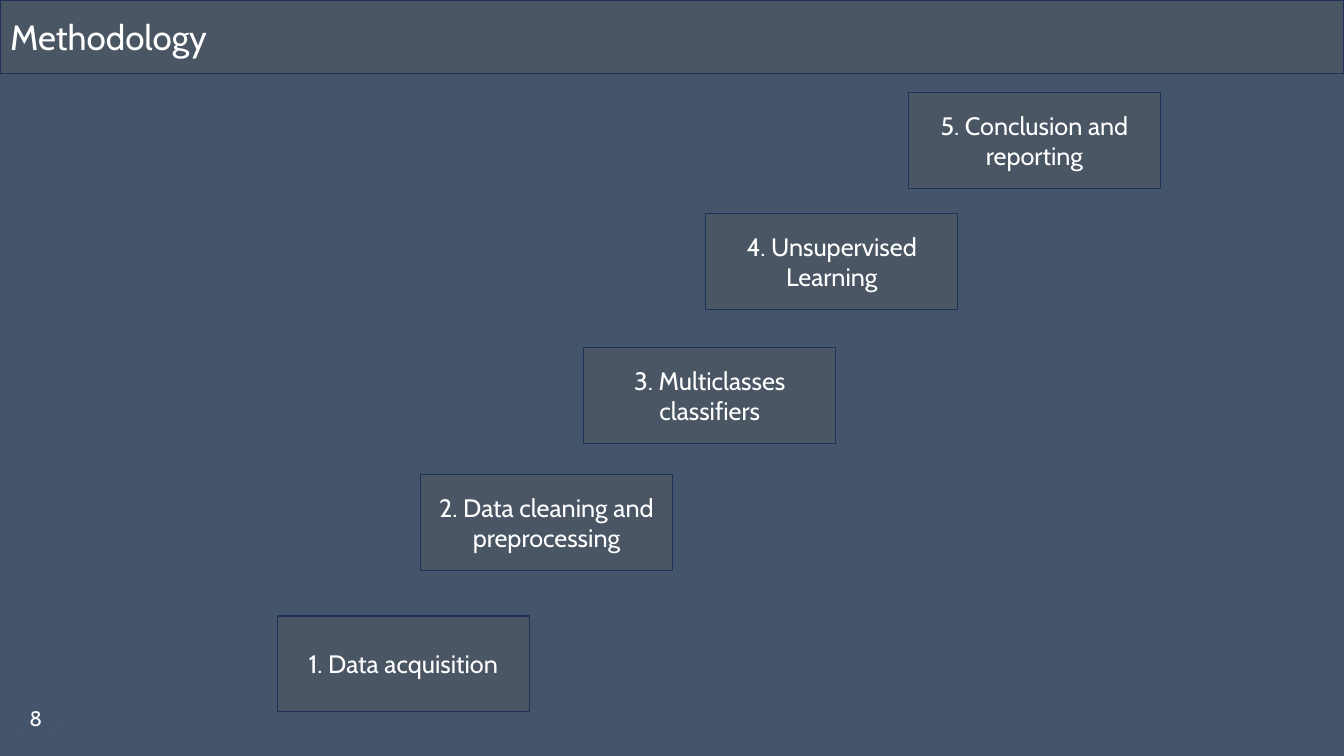
from pptx import Presentation
from pptx.dml.color import RGBColor
from pptx.enum.shapes import MSO_SHAPE as SHAPE
from pptx.enum.text import MSO_ANCHOR as ANCHOR, PP_ALIGN as ALIGN
from pptx.util import Pt

PX = 9144
FONT = "Cabin"
BACKGROUND, PANEL, EDGE, WHITE = "44546A", "4A5664", "1E3256", "FFFFFF"
STEP_W, STEP_H = 250, 95
STEPS = [
    ("1. Data acquisition", 275, 611),
    ("2. Data cleaning and preprocessing", 417, 471),
    ("3. Multiclasses classifiers", 579, 345),
    ("4. Unsupervised Learning", 700, 212),
    ("5. Conclusion and reporting", 901, 92),
]


def px(*lengths):
    """Turn px lengths into EMU."""
    return [n * PX for n in lengths]


def paint(fill, color):
    """Make a fill solid in a hex colour."""
    fill.solid()
    fill.fore_color.rgb = RGBColor.from_string(color)


def outline(sp, color):
    """Give a shape a thin line."""
    paint(sp.line.fill, color)
    sp.line.width = Pt(1)


def write(sp, text, size, align=ALIGN.CENTER):
    """Put one white paragraph in the middle of a shape."""
    tf = sp.text_frame
    tf.word_wrap = True
    tf.vertical_anchor = ANCHOR.MIDDLE
    tf.text = text
    p = tf.paragraphs[0]
    p.alignment = align
    p.font.name = FONT
    p.font.size = Pt(size)
    paint(p.font.fill, WHITE)


def add_title(s, text):
    """Turn the title placeholder into the top bar."""
    sp = s.shapes.title
    sp.left, sp.top, sp.width, sp.height = px(0, 0, 1333, 73)
    paint(sp.fill, PANEL)
    outline(sp, EDGE)
    write(sp, text, 25, ALIGN.LEFT)


def add_step(s, text, x, y):
    """Add one step box."""
    sp = s.shapes.add_shape(SHAPE.RECTANGLE, *px(x, y, STEP_W, STEP_H))
    sp.shadow.inherit = False
    paint(sp.fill, PANEL)
    outline(sp, EDGE)
    write(sp, text, 18)


def add_page_number(s, text):
    """Add the ringed page number."""
    sp = s.shapes.add_shape(SHAPE.OVAL, *px(12, 691, 47, 42))
    sp.shadow.inherit = False
    sp.fill.background()
    outline(sp, PANEL)
    write(sp, text, 15)
    sp.text_frame.margin_left = sp.text_frame.margin_right = 0


def main():
    """Build the methodology slide."""
    prs = Presentation()
    prs.slide_width, prs.slide_height = px(1333, 750)
    s = prs.slides.add_slide(prs.slide_layouts[5])
    paint(s.background.fill, BACKGROUND)
    add_title(s, "Methodology")
    add_page_number(s, "8")
    for text, x, y in STEPS:
        add_step(s, text, x, y)
    prs.save("out.pptx")


if __name__ == "__main__":
    main()
